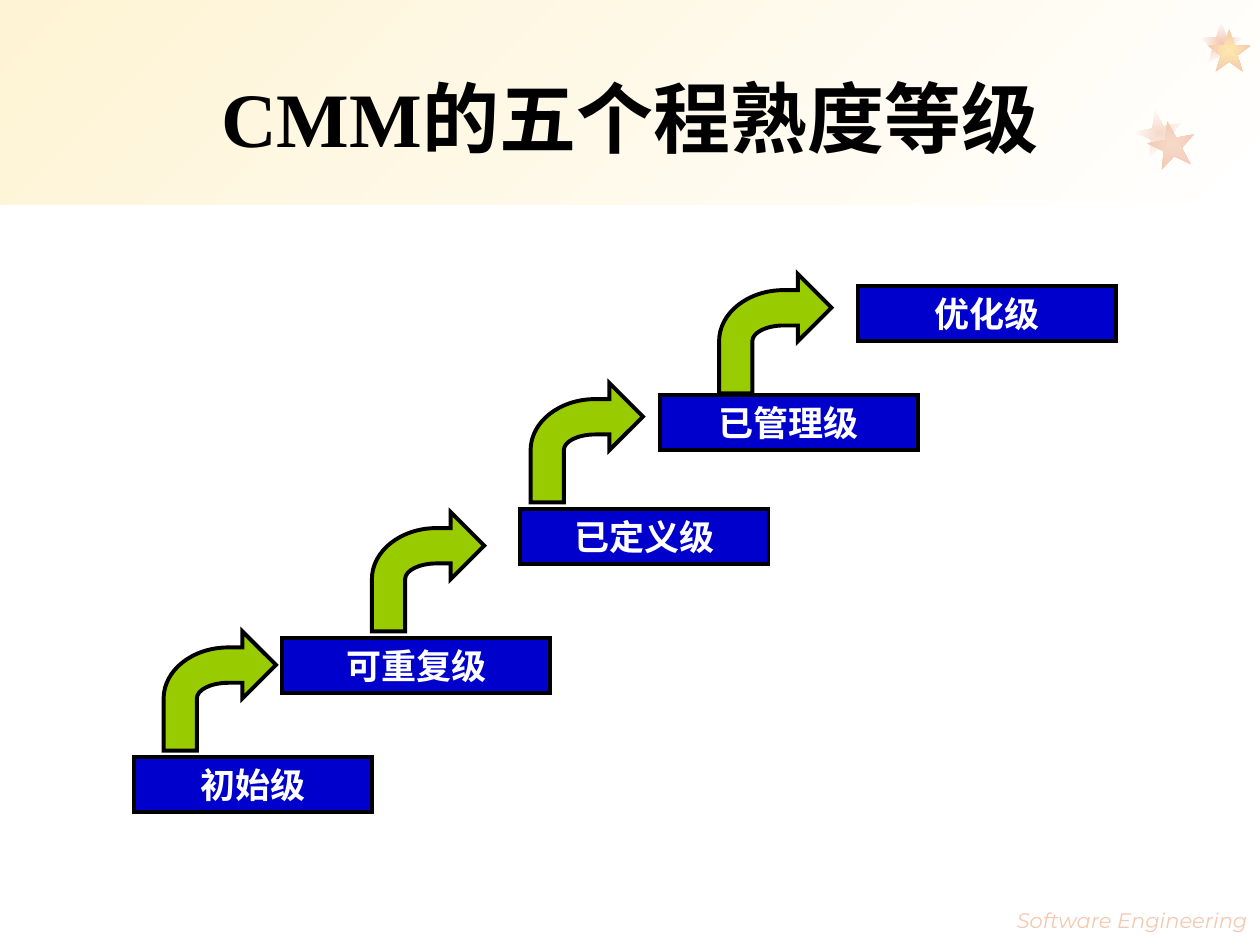
from dataclasses import dataclass

from lxml import etree
from pptx import Presentation
from pptx.dml.color import RGBColor
from pptx.enum.shapes import MSO_SHAPE
from pptx.enum.text import MSO_ANCHOR, PP_ALIGN
from pptx.oxml.ns import qn
from pptx.util import Pt

RECT, STAR = MSO_SHAPE.RECTANGLE, MSO_SHAPE.STAR_5_POINT
MIDDLE = MSO_ANCHOR.MIDDLE
CENTER, RIGHT = PP_ALIGN.CENTER, PP_ALIGN.RIGHT
SERIF, SANS = "Times New Roman", "Montserrat"
PEACH, PALE, WHITE, BLACK = "F3C9B2", "F6D9C9", "FFFFFF", "000000"

# Arrow outline after its start; each curve takes three points.
FOOT = (0, 68.2)
OUTLINE = [
    (0, 38.4),
    (0, 22.2), (16.6, 9.2), (37, 9.2),
    (45, 9.2), (45, 0), (64.2, 19.2), (45, 38.4), (45, 29.4), (37, 29.4),
    (27, 29.4), (19, 33.4), (19, 38.4),
    (19, 68.2),
]
CURVES = (1, 10)


@dataclass
class Star:
    left: float
    top: float
    width: float
    height: float
    inner: str
    outer: str
    turn: float = 0


@dataclass
class Level:
    name: str
    left: float
    top: float
    width: float


@dataclass
class Arrow:
    left: float
    top: float


STARS = [
    Star(648.7, 62.6, 27.4, 26.6, PALE, WHITE, 349),
    Star(655.9, 69.1, 27.4, 26.6, PALE, PEACH, 349),
    Star(685.4, 12.2, 25.2, 24.5, PEACH, WHITE),
    Star(689.8, 16.6, 25.2, 24.5, "FEE8AA", PEACH),
]
LEVELS = [
    Level("初始级", 76.4, 432.5, 136.1),
    Level("可重复级", 161.4, 364.7, 153.1),
    Level("已定义级", 297.4, 290.9, 141.8),
    Level("已管理级", 377, 225.8, 147.5),
    Level("优化级", 490.3, 163.5, 147.5),
]
ARROWS = [
    Arrow(93.5, 360.8),
    Arrow(212.5, 292.6),
    Arrow(303.2, 218.9),
    Arrow(410.9, 156.6),
]


def color(code: str) -> RGBColor:
    return RGBColor.from_string(code)


def blend(shape, first: str, last: str) -> None:
    """Fill a borderless shape with a two-colour gradient."""
    shape.shadow.inherit = False
    shape.line.fill.background()
    shape.fill.gradient()
    for stop, code in zip(shape.fill.gradient_stops, (first, last)):
        stop.color.rgb = color(code)


def paint(shape, code: str) -> None:
    """Give a shape a plain fill and the sharp black outline."""
    shape.shadow.inherit = False
    shape.fill.solid()
    shape.fill.fore_color.rgb = color(code)
    shape.line.color.rgb = color(BLACK)
    shape.line.width = Pt(2.25)
    edge = shape._element.spPr.find(qn("a:ln"))
    etree.SubElement(edge, qn("a:miter"), lim="800000")


def write(shape, text: str, size: float, code: str, face: str, align,
          bold: bool = False, slant: bool = False) -> None:
    frame = shape.text_frame
    frame.text = text
    frame.word_wrap = True
    frame.vertical_anchor = MIDDLE
    line = frame.paragraphs[0]
    line.alignment = align
    font = line.runs[0].font
    font.name, font.size = face, Pt(size)
    font.bold, font.italic = bold, slant
    font.color.rgb = color(code)


def add_star(shapes, star: Star) -> None:
    shape = shapes.add_shape(STAR, Pt(star.left), Pt(star.top),
                             Pt(star.width), Pt(star.height))
    shape.rotation = star.turn
    blend(shape, star.inner, star.outer)
    grad = shape._element.spPr.find(qn("a:gradFill"))
    grad.remove(grad.find(qn("a:lin")))
    burst = etree.SubElement(grad, qn("a:path"), path="rect")
    etree.SubElement(burst, qn("a:fillToRect"),
                     l="50000", t="50000", r="50000", b="50000")


def add_level(shapes, level: Level) -> None:
    shape = shapes.add_shape(RECT, Pt(level.left), Pt(level.top),
                             Pt(level.width), Pt(31.5))
    paint(shape, "0000CC")
    write(shape, level.name, 20, WHITE, SERIF, CENTER, bold=True)


def curve(shape) -> None:
    """Merge the line triples named in CURVES into Bezier curves."""
    lines = list(shape._element.iter(qn("a:lnTo")))
    for start in CURVES:
        bow = etree.Element(qn("a:cubicBezTo"))
        lines[start].addprevious(bow)
        for line in lines[start:start + 3]:
            bow.append(line[0])
            line.getparent().remove(line)


def add_arrow(shapes, arrow: Arrow) -> None:
    first, *rest = [(Pt(arrow.left + x), Pt(arrow.top + y))
                    for x, y in [FOOT, *OUTLINE]]
    pen = shapes.build_freeform(*first)
    pen.add_line_segments(rest, close=True)
    shape = pen.convert_to_shape()
    curve(shape)
    paint(shape, "99CC00")


def main() -> None:
    deck = Presentation()
    deck.slide_width, deck.slide_height = Pt(720), Pt(540)
    shapes = deck.slides.add_slide(deck.slide_layouts[6]).shapes

    band = shapes.add_shape(RECT, 0, 0, Pt(720), Pt(117))
    blend(band, WHITE, "FEF3D4")
    band.fill.gradient_angle = 135
    for star in STARS:
        add_star(shapes, star)

    foot = shapes.add_textbox(Pt(505), Pt(515), Pt(215), Pt(21.6))
    write(foot, "Software Engineering", 12, PEACH, SANS, RIGHT, slant=True)
    title = shapes.add_textbox(Pt(36), Pt(21.6), Pt(648), Pt(90))
    write(title, "CMM的五个程熟度等级", 44, BLACK, SERIF, CENTER, bold=True)

    for level in LEVELS:
        add_level(shapes, level)
    for arrow in ARROWS:
        add_arrow(shapes, arrow)
    deck.save("out.pptx")


if __name__ == "__main__":
    main()
